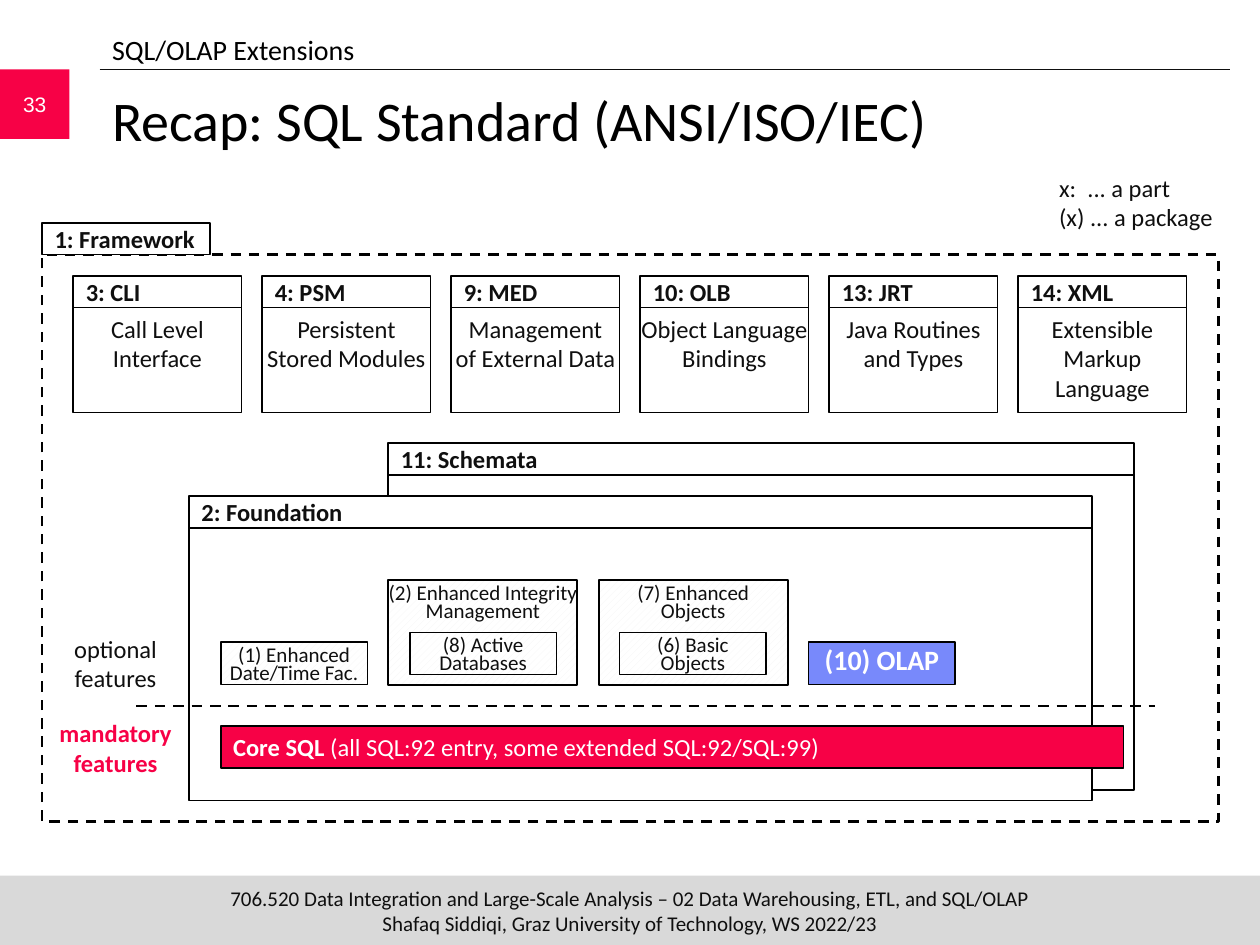
import pptx
import pptx.util
import pptx.dml.color
import pptx.enum.dml
import pptx.enum.shapes
import pptx.enum.text
import pptx.oxml.ns
from lxml import etree

Cm, Pt = pptx.util.Cm, pptx.util.Pt
RGB = pptx.dml.color.RGBColor.from_string
Align = pptx.enum.text.PP_ALIGN
Anchor = pptx.enum.text.MSO_ANCHOR
Dash = pptx.enum.dml.MSO_LINE.DASH
qn = pptx.oxml.ns.qn


class Theme:
    font, digits = "Calibri", "Arial"
    black, ink, white = RGB("000000"), RGB("0F0F0F"), RGB("FFFFFF")
    red, blue = RGB("F70146"), RGB("7889FB")
    gray, hatch = RGB("D9D9D9"), RGB("F5F5F5")
    title, lead, text, small = Pt(32), Pt(16), Pt(14), Pt(12)


def box(x, y, w, h, fill=None, edge=Theme.black):
    """Add a rectangle, in cm, without shadow; no fill or edge if None."""
    shape = slide.shapes.add_shape(
        pptx.enum.shapes.MSO_SHAPE.RECTANGLE, Cm(x), Cm(y), Cm(w), Cm(h))
    shape.shadow.inherit = False
    if fill is None:
        shape.fill.background()
    else:
        shape.fill.solid()
        shape.fill.fore_color.rgb = fill
    if edge is None:
        shape.line.fill.background()
    else:
        shape.line.color.rgb = edge
        shape.line.width = Pt(1)
    return shape


def write(shape, *runs, size=Theme.text, color=Theme.ink, font=Theme.font,
          align=Align.LEFT, anchor=Anchor.TOP, side=0.25, top=0.13, lead=1.0):
    """Fill a shape with (text, bold) runs; a newline run breaks the line."""
    frame = shape.text_frame
    frame.word_wrap = True
    frame.auto_size = pptx.enum.text.MSO_AUTO_SIZE.NONE
    frame.vertical_anchor = anchor
    frame.margin_left = frame.margin_right = Cm(side)
    frame.margin_top = frame.margin_bottom = Cm(top)
    para = frame.paragraphs[0]
    para.alignment, para.line_spacing, para.space_before = align, lead, Pt(0)
    for text, bold in runs:
        if text == "\n":
            para.add_line_break()
            continue
        run = para.add_run()
        run.text = text
        run.font.name, run.font.size, run.font.bold = font, size, bold
        run.font.color.rgb = color


deck = pptx.Presentation()
deck.slide_width, deck.slide_height = Cm(25.4), Cm(19.05)
slide = deck.slides.add_slide(deck.slide_layouts[1])
BREAK = ("\n", False)

# Title and section name
title, topic = slide.shapes.title, slide.placeholders[1]
title.left, title.top, title.width, title.height = Cm(2.01), Cm(1.6), Cm(22.76), Cm(2.11)
topic.left, topic.top, topic.width, topic.height = Cm(2.01), Cm(0.53), Cm(22.86), Cm(0.91)
props = topic.text_frame.paragraphs[0]._p.get_or_add_pPr()
props.set("marL", "0")
props.set("indent", "0")
etree.SubElement(props, qn("a:buNone"))
write(title, ("Recap: SQL Standard (ANSI/ISO/IEC)", False), size=Theme.title, color=Theme.black)
write(topic, ("SQL/OLAP Extensions", False), size=Theme.lead, color=Theme.black)

# Page number and footer
page = box(0, 1.4, 1.4, 1.4, Theme.red, None)
write(page, ("33", False), size=Theme.small, color=Theme.white, font=Theme.digits,
      align=Align.CENTER, anchor=Anchor.MIDDLE)
foot = box(0, 17.65, 25.4, 1.4, Theme.gray, None)
write(foot,
      ("706.520 Data Integration and Large-Scale Analysis – 02 Data Warehousing, ETL, and SQL/OLAP", False),
      BREAK, ("Shafaq Siddiqi, Graz University of Technology, WS 2022/23", False),
      size=Theme.small, align=Align.CENTER, anchor=Anchor.MIDDLE, side=0, top=0)

# Framework border
border = box(0.85, 5.13, 23.71, 11.43)
border.line.width = Pt(1.5)
border.line.dash_style = Dash

# Parts of the standard: a header strip on top of a body
HEAD, WIDE = 0.64, 3.39
parts = [
    ("3: CLI", [("Call Level Interface", False)]),
    ("4: PSM", [("Persistent Stored Modules", False)]),
    ("9: MED", [("Management", False), BREAK, ("of External Data", False)]),
    ("10: OLB", [("Object Language Bindings", False)]),
    ("13: JRT", [("Java Routines and Types", False)]),
    ("14: XML", [("Extensible Markup Language", False)]),
]
panes = [(1.48 + 3.81 * i, 5.56, WIDE, 2.12, name, runs)
         for i, (name, runs) in enumerate(parts)]
panes += [
    (0.85, 4.49, WIDE, 0, "1: Framework", []),
    (7.83, 8.93, 15.03, 6.35, "11: Schemata", []),
    (3.81, 10, 18.2, 5.5, "2: Foundation", []),
]
for x, y, w, h, name, runs in panes:
    if h:
        body = box(x, y + HEAD, w, h, Theme.white)
        write(body, *runs, align=Align.CENTER, side=0)
    head = box(x, y, w, HEAD, Theme.white)
    write(head, (name, True), anchor=Anchor.MIDDLE, top=0)

# Packages inside the foundation
core = box(4.45, 14.63, 18.2, 0.86, Theme.red)
write(core, ("Core SQL ", True), ("(all SQL:92 entry, some extended SQL:92/SQL:99)", False),
      color=Theme.white, anchor=Anchor.MIDDLE)
packs = [
    (4.45, 12.95, 2.96, 0.85, 0, "(1) Enhanced Date/Time Fac."),
    (7.83, 11.69, 3.81, 2.12, 0, "(2) Enhanced Integrity Management"),
    (8.26, 12.75, 2.96, 0.85, 0.25, "(8) Active Databases"),
    (12.07, 11.69, 3.81, 2.12, 0.25, "(7) Enhanced Objects"),
    (12.49, 12.75, 2.96, 0.85, 0.25, "(6) Basic Objects"),
]
for x, y, w, h, side, name in packs:
    pack = box(x, y, w, h)
    pack.fill.patterned()
    pack.fill.pattern = pptx.enum.dml.MSO_PATTERN.WIDE_UPWARD_DIAGONAL
    pack.fill.fore_color.rgb = Theme.hatch
    pack.fill.back_color.rgb = Theme.white
    write(pack, (name, False), size=Theme.small, align=Align.CENTER, side=side, lead=0.7)
olap = box(16.3, 12.95, 2.96, 0.85, Theme.blue)
write(olap, ("(10) OLAP", True), size=Theme.lead, color=Theme.white,
      align=Align.CENTER, anchor=Anchor.MIDDLE, lead=0.7)

# Title rule, and the line between optional and mandatory features
rules = [(2.01, 24.79, 1.4, 0.5, Theme.ink, None),
         (2.75, 23.28, 14.23, 1.5, Theme.black, Dash)]
for start, end, y, width, color, dash in rules:
    rule = slide.shapes.add_connector(
        pptx.enum.shapes.MSO_CONNECTOR.STRAIGHT, Cm(start), Cm(y), Cm(end), Cm(y))
    rule.line.color.rgb, rule.line.width = color, Pt(width)
    rule.line.dash_style = dash
    etree.SubElement(rule._element.spPr, qn("a:effectLst"))

# Free labels
notes = [
    (0.85, 12.65, 2.96, Align.CENTER, Theme.ink, [("optional features", False)]),
    (0.85, 14.35, 2.96, Align.CENTER, Theme.red, [("mandatory features", True)]),
    (21.1, 3.35, 3.86, Align.LEFT, Theme.ink,
     [("x:  ... a part", False), BREAK, ("(x) ... a package", False)]),
]
for x, y, w, align, color, runs in notes:
    note = slide.shapes.add_textbox(Cm(x), Cm(y), Cm(w), Cm(1.45))
    write(note, *runs, color=color, align=align)

deck.save("out.pptx")
